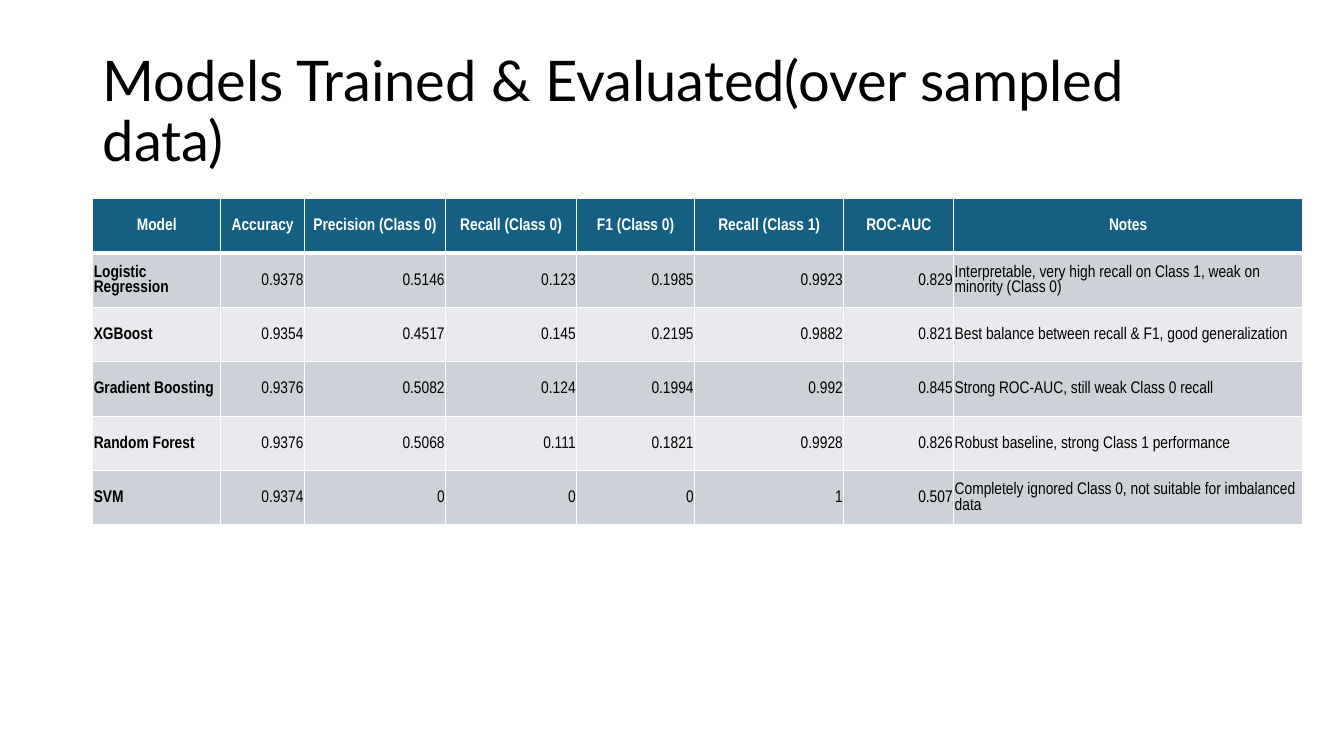
import dataclasses

import lxml.etree
import pptx
import pptx.dml.color
import pptx.enum.text
import pptx.oxml.ns
import pptx.util

PX = 9144  # 100 px to the inch
ALIGN = pptx.enum.text.PP_ALIGN
MIDDLE = pptx.enum.text.MSO_ANCHOR.MIDDLE


@dataclasses.dataclass(frozen=True)
class Theme:
    title_font: str = "Lato"
    table_font: str = "Arial Narrow"
    title_size: int = 40
    table_size: int = 12
    text: str = "000000"
    header_text: str = "FFFFFF"
    header_fill: str = "156082"
    bands: tuple = ("CCD2D8", "E8EAED")
    border: str = "FFFFFF"
    thin: int = 1
    thick: int = 3


THEME = Theme()

TITLE = "Models Trained & Evaluated(over sampled data)"
COLUMN_WIDTHS = (127, 83, 140, 130, 117, 148, 109, 346)
ROW_HEIGHT = 54
RESULTS = (
    ("Model", "Accuracy", "Precision (Class 0)", "Recall (Class 0)",
     "F1 (Class 0)", "Recall (Class 1)", "ROC-AUC", "Notes"),
    ("Logistic Regression", "0.9378", "0.5146", "0.123", "0.1985", "0.9923", "0.829",
     "Interpretable, very high recall on Class 1, weak on minority (Class 0)"),
    ("XGBoost", "0.9354", "0.4517", "0.145", "0.2195", "0.9882", "0.821",
     "Best balance between recall & F1, good generalization"),
    ("Gradient Boosting", "0.9376", "0.5082", "0.124", "0.1994", "0.992", "0.845",
     "Strong ROC-AUC, still weak Class 0 recall"),
    ("Random Forest", "0.9376", "0.5068", "0.111", "0.1821", "0.9928", "0.826",
     "Robust baseline, strong Class 1 performance"),
    ("SVM", "0.9374", "0", "0", "0", "1", "0.507",
     "Completely ignored Class 0, not suitable for imbalanced data"),
)


def px(*lengths):
    return [pptx.util.Emu(length * PX) for length in lengths]


def rgb(color):
    return pptx.dml.color.RGBColor.from_string(color)


def format_runs(p, font, size, color, bold=False):
    for r in p.runs:
        r.font.name = font
        r.font.size = pptx.util.Pt(size)
        r.font.color.rgb = rgb(color)
        r.font.bold = bold


def set_title(slide, text):
    sp = slide.shapes.title
    sp.left, sp.top, sp.width, sp.height = px(92, 40, 1150, 145)
    tf = sp.text_frame
    tf.text = text
    tf.word_wrap = True
    tf.auto_size = pptx.enum.text.MSO_AUTO_SIZE.NONE
    tf.vertical_anchor = MIDDLE
    p = tf.paragraphs[0]
    p.alignment = ALIGN.LEFT
    p.line_spacing = 0.9
    format_runs(p, THEME.title_font, THEME.title_size, THEME.text)


def set_borders(cell, top, bottom):
    """Draw all four cell edges; the sides are thin, top and bottom are in points."""
    qn = pptx.oxml.ns.qn
    tc_pr = cell._tc.get_or_add_tcPr()
    widths = {"a:lnL": THEME.thin, "a:lnR": THEME.thin, "a:lnT": top, "a:lnB": bottom}
    for i, (tag, width) in enumerate(widths.items()):
        ln = lxml.etree.Element(qn(tag), w=str(pptx.util.Pt(width)))
        fill = lxml.etree.SubElement(ln, qn("a:solidFill"))
        lxml.etree.SubElement(fill, qn("a:srgbClr"), val=THEME.border)
        tc_pr.insert(i, ln)  # edges come before the cell fill


def fill_cell(cell, text, row, col):
    header = row == 0
    last = len(COLUMN_WIDTHS) - 1
    cell.text = text
    cell.vertical_anchor = MIDDLE
    cell.margin_left, cell.margin_top, cell.margin_right, cell.margin_bottom = px(1, 1, 1, 0)
    cell.fill.solid()
    cell.fill.fore_color.rgb = rgb(THEME.header_fill if header else THEME.bands[(row - 1) % 2])
    set_borders(cell,
                top=THEME.thick if row == 1 else THEME.thin,
                bottom=THEME.thick if header else THEME.thin)
    p = cell.text_frame.paragraphs[0]
    if header:
        p.alignment = ALIGN.CENTER
    else:
        p.alignment = ALIGN.LEFT if col in (0, last) else ALIGN.RIGHT
    format_runs(p, THEME.table_font, THEME.table_size,
                THEME.header_text if header else THEME.text, header or col == 0)


def add_results_table(slide, left, top):
    size = px(left, top, sum(COLUMN_WIDTHS), ROW_HEIGHT * len(RESULTS))
    table = slide.shapes.add_table(len(RESULTS), len(COLUMN_WIDTHS), *size).table
    for column, width in zip(table.columns, px(*COLUMN_WIDTHS)):
        column.width = width
    for row, values in enumerate(RESULTS):
        table.rows[row].height = px(ROW_HEIGHT)[0]
        for col, text in enumerate(values):
            fill_cell(table.cell(row, col), text, row, col)


def main():
    prs = pptx.Presentation()
    prs.slide_width, prs.slide_height = px(1333, 750)
    slide = prs.slides.add_slide(prs.slide_layouts.get_by_name("Title Only"))
    set_title(slide, TITLE)
    add_results_table(slide, 92, 197)
    prs.save("out.pptx")


if __name__ == "__main__":
    main()
